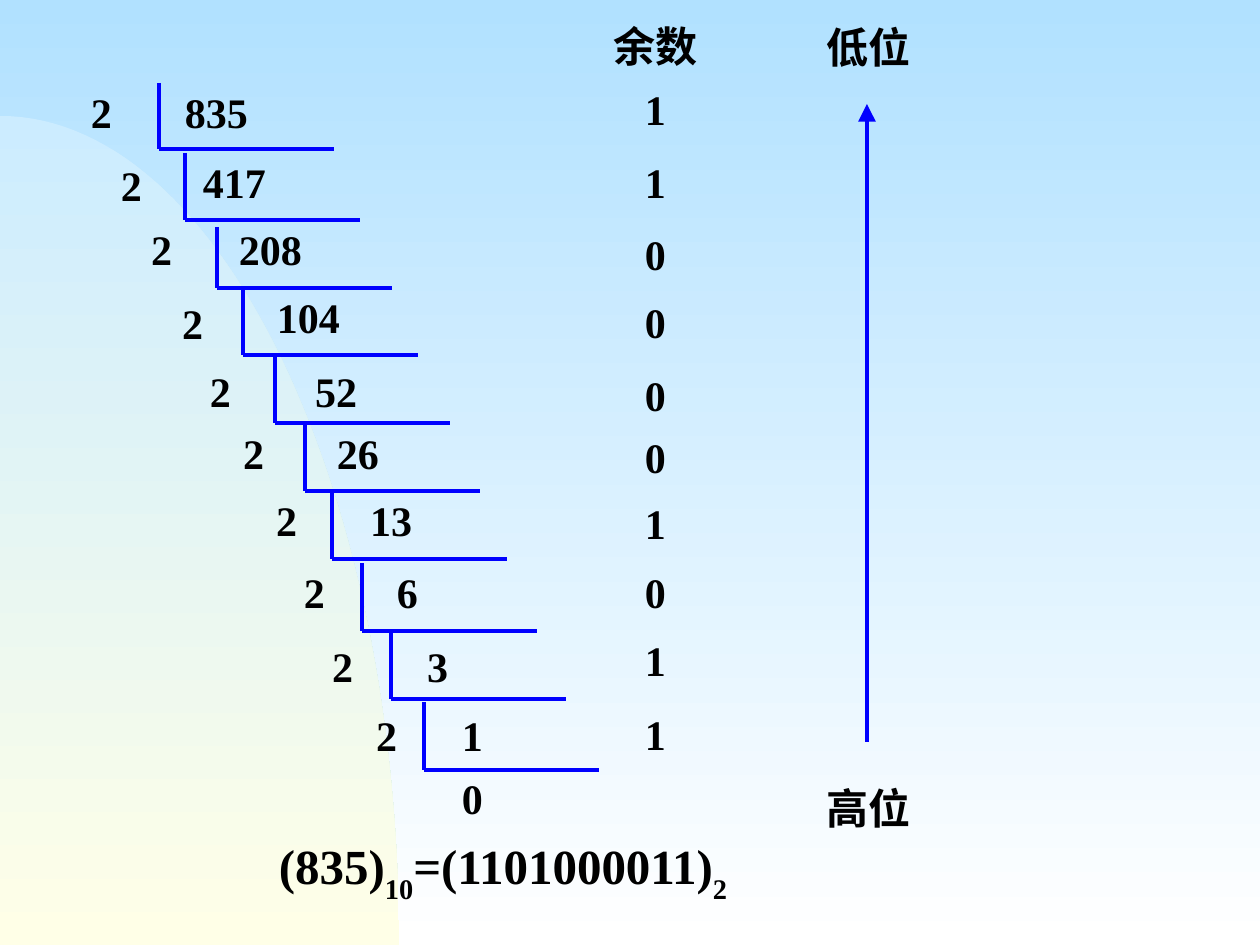
from lxml import etree
from pptx import Presentation
from pptx.dml.color import RGBColor
from pptx.enum.shapes import MSO_CONNECTOR
from pptx.enum.text import MSO_AUTO_SIZE
from pptx.oxml.ns import qn
from pptx.util import Emu, Pt

STRAIGHT = MSO_CONNECTOR.STRAIGHT
GROW = MSO_AUTO_SIZE.SHAPE_TO_FIT_TEXT

BLACK = RGBColor(0x00, 0x00, 0x00)
BLUE = RGBColor(0x00, 0x00, 0xFF)
SKY = RGBColor(0xB1, 0xE1, 0xFF)
WHITE = RGBColor(0xFF, 0xFF, 0xFF)
PALE_BLUE = RGBColor(0xCC, 0xEC, 0xFF)
PALE_YELLOW = RGBColor(0xFF, 0xFF, 0xE7)

LATIN = "Times New Roman"
CHINESE = "Noto Sans CJK SC"
SCALE = 914400 / 126
SLIDE_W, SLIDE_H = 1260, 945
LINE_H = 35
DIGIT_W, HANZI_W = 21, 42
BAR_W = 175

NUMBER = 835
# Per division, relative to the ladder box: divisor x, y; quotient x, y;
# bracket x, top, base; remainder y
STEPS = [
    (0, 17, 94, 17, 68, 0, 66, 14),
    (30, 90, 112, 87, 94, 70, 137, 87),
    (60, 154, 148, 154, 126, 144, 205, 159),
    (91, 228, 186, 222, 152, 206, 272, 227),
    (119, 296, 224, 296, 184, 272, 340, 300),
    (152, 358, 246, 358, 214, 340, 408, 362),
    (185, 425, 279, 425, 241, 408, 476, 428),
    (213, 497, 306, 497, 271, 480, 548, 497),
    (241, 571, 336, 571, 300, 548, 616, 565),
    (285, 640, 371, 640, 333, 619, 687, 639),
]


def px(value):
    return Emu(round(value * SCALE))


def fill_downward(fill, top, bottom):
    fill.gradient()
    fill.gradient_angle = 270
    for stop, color in zip(fill.gradient_stops, (top, bottom)):
        stop.color.rgb = color


def add_text(slide, x, y, w, h, parts, font=LATIN, size=24, insets=(0, 0)):
    """Add one line of text; parts are (text, is_subscript) pairs."""
    box = slide.shapes.add_textbox(px(x), px(y), px(w), px(h))
    frame = box.text_frame
    frame.word_wrap = False
    frame.auto_size = GROW
    frame.margin_left = frame.margin_right = px(insets[0])
    frame.margin_top = frame.margin_bottom = px(insets[1])
    paragraph = frame.paragraphs[0]
    paragraph.line_spacing = 0.7
    paragraph.font.name = font
    paragraph.font.size = Pt(size)
    paragraph.font.bold = True
    paragraph.font.color.rgb = BLACK
    defaults = paragraph._p.get_or_add_pPr().find(qn("a:defRPr"))
    etree.SubElement(defaults, qn("a:ea")).set("typeface", font)
    for text, subscript in parts:
        run = paragraph.add_run()
        run.text = text
        if subscript:
            run._r.get_or_add_rPr().set("baseline", "-30000")
    return box


def add_number(slide, x, y, number):
    digits = str(number)
    add_text(slide, x, y, DIGIT_W * len(digits), LINE_H, [(digits, False)])


def add_label(slide, x, y, label):
    add_text(slide, x, y, HANZI_W * len(label), LINE_H, [(label, False)], CHINESE)


def add_line(slide, x1, y1, x2, y2, arrow=False):
    line = slide.shapes.add_connector(STRAIGHT, px(x1), px(y1), px(x2), px(y2))
    line.line.color.rgb = BLUE
    line.line.width = Pt(2)
    if arrow:
        end = etree.SubElement(line.line._get_or_add_ln(), qn("a:tailEnd"))
        for key, value in (("type", "triangle"), ("w", "lg"), ("len", "lg")):
            end.set(key, value)
    etree.SubElement(line._element.spPr, qn("a:effectLst"))


def add_backdrop(slide, x, y, w, h):
    fill_downward(slide.background.fill, SKY, WHITE)
    # Quarter-oval curve, sampled from a cubic with control points (.55, 0), (1, .45)
    count = 60
    points = []
    for t in (i / count for i in range(1, count + 1)):
        u = 1 - t
        across = 3 * u * u * t * 0.55 + 3 * u * t * t + t ** 3
        down = 3 * u * t * t * 0.45 + t ** 3
        points.append((px(x + w * across), px(y + h * down)))
    builder = slide.shapes.build_freeform(px(x), px(y))
    builder.add_line_segments(points + [(px(x), px(y + h))], close=True)
    oval = builder.convert_to_shape()
    oval.shadow.inherit = False
    oval.line.fill.background()
    fill_downward(oval.fill, PALE_BLUE, PALE_YELLOW)


def add_division_ladder(slide, x, y, remainder_x):
    quotient = NUMBER
    for div_x, div_y, quo_x, quo_y, bar_x, top, base, rem_y in STEPS:
        left = x + bar_x
        add_line(slide, left, y + top, left, y + base)
        add_line(slide, left, y + base, left + BAR_W, y + base)
        add_number(slide, x + div_x, y + div_y, 2)
        add_number(slide, x + quo_x, y + quo_y, quotient)
        quotient, remainder = divmod(quotient, 2)
        add_number(slide, remainder_x, y + rem_y, remainder)
    # Last quotient, below the final bracket
    add_number(slide, x + 371, y + 703, quotient)


def add_bit_order(slide, x, y, h):
    add_label(slide, x, y, "低位")
    add_label(slide, x, y + h - LINE_H, "高位")
    add_line(slide, x + 40, y + 707, x + 40, y + 69, arrow=True)


def add_result(slide, x, y, w, h):
    parts = [(f"({NUMBER})", False), ("10", True),
             (f"=({NUMBER:b})", False), ("2", True)]
    box = add_text(slide, x, y, w, h, parts, size=28, insets=(13, 6))
    box.text_frame.word_wrap = True


def main():
    prs = Presentation()
    prs.slide_width, prs.slide_height = px(SLIDE_W), px(SLIDE_H)
    slide = prs.slides.add_slide(prs.slide_layouts[6])
    add_backdrop(slide, 0, 116, 399, 829)
    add_bit_order(slide, 827, 35, 796)
    add_label(slide, 614, 34, "余数")
    add_division_ladder(slide, 91, 83, remainder_x=645)
    add_result(slide, 266, 840, 716, 62)
    prs.save("out.pptx")


if __name__ == "__main__":
    main()
